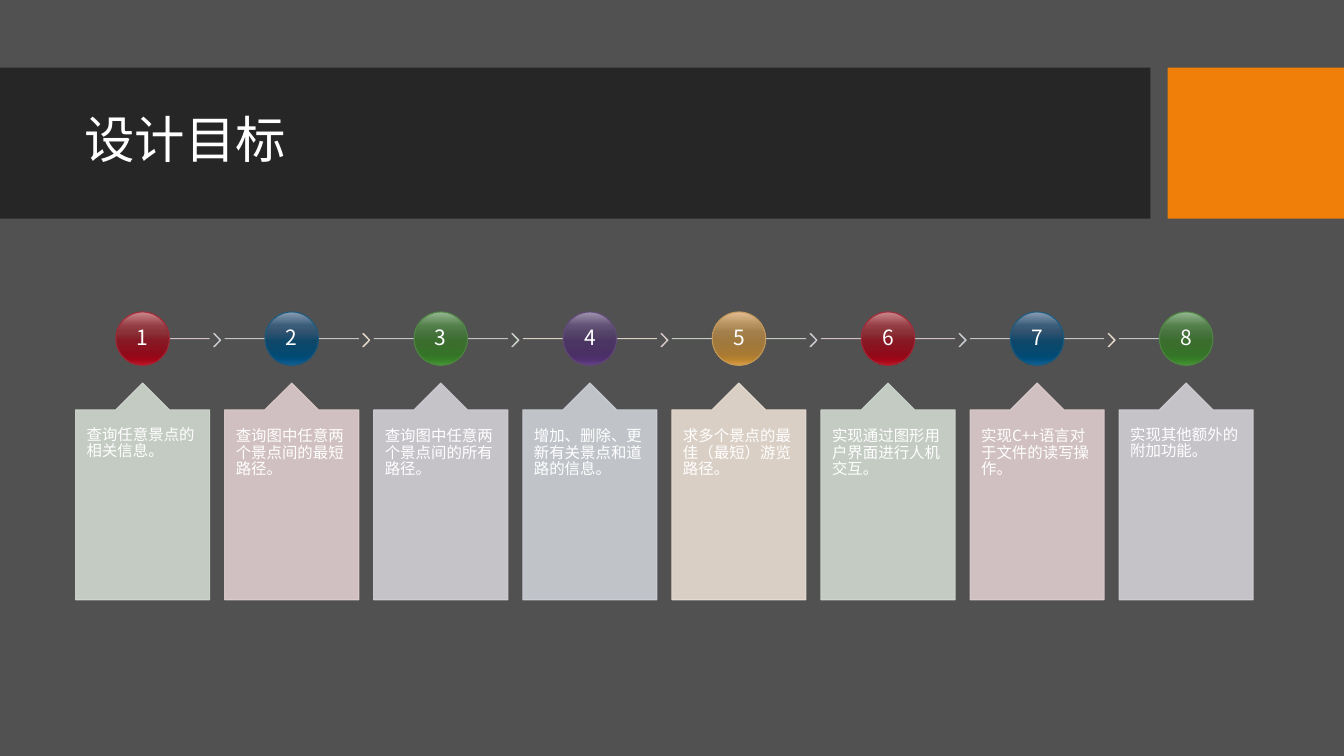
from lxml import etree
from pptx import Presentation, util as u
from pptx.dml.color import RGBColor
from pptx.enum import shapes, text
from pptx.oxml.ns import qn

FONT = "Noto Sans CJK SC"
WHITE = RGBColor(0xFF, 0xFF, 0xFF)
BACKGROUND = RGBColor(0x51, 0x51, 0x51)
BAND = RGBColor(0x26, 0x26, 0x26)
ORANGE = RGBColor(0xF0, 0x7F, 0x09)

# Card tints: green, pink, mauve, blue, sand
TINTS = [RGBColor.from_string(c) for c in
         ("D0D9CF", "DFCDCE", "D2CFD6", "CDD1D7", "E9DDD1")]
# Ball outline and gradient colours: red, blue, green, purple, gold
STOPS = (0, 25, 38, 55, 80, 88, 100)
BALLS = [(RGBColor.from_string(edge), colors.split()) for edge, colors in (
    ("9F2936", "CA888B 973F46 8A3238 861723 900B1A 9F0516 BE1525"),
    ("1B587C", "8A9EB4 3B5D7A 30526F 0E4769 044971 004E7C 136095"),
    ("4E8542", "96B891 55814D 487440 3A6D2E 357328 357D26 479836"),
    ("604878", "A095AF 635176 56456A 4B3562 4B3066 4F2F6E 634187"),
    ("C19859", "E2BC91 B4905C A37F4B 9F793E A87A33 B7822F DD9F41"),
)]
GOALS = [
    "查询任意景点的相关信息。",
    "查询图中任意两个景点间的最短路径。",
    "查询图中任意两个景点间的所有路径。",
    "增加、删除、更新有关景点和道路的信息。",
    "求多个景点的最佳（最短）游览路径。",
    "实现通过图形用户界面进行人机交互。",
    "实现C++语言对于文件的读写操作。",
    "实现其他额外的附加功能。",
]

LEFT, LAST_LEFT, CARD_W = 0.75, 11.1, 1.33
STEP = (LAST_LEFT - LEFT) / (len(GOALS) - 1)
LINE_Y, BALL, NUMBER = 3.36, 0.53, 0.37
CARD_TOP, CARD_H, POINTER_H = 3.8, 2.15, 0.27


def set_alpha(el, percent):
    """Set the opacity of every solid colour inside an element."""
    for clr in el.iter(qn("a:srgbClr")):
        etree.SubElement(clr, qn("a:alpha"), val=str(percent * 1000))


def add_box(s, kind, box, color, adjustments=(), edge=None, opacity=None):
    """Add a preset shape with a plain fill and an optional outline."""
    sp = s.shapes.add_shape(kind, *map(u.Inches, box))
    sp.shadow.inherit = False
    for i, value in enumerate(adjustments):
        sp.adjustments[i] = value
    sp.fill.solid()
    sp.fill.fore_color.rgb = color
    if edge is None:
        sp.line.fill.background()
    else:
        sp.line.color.rgb = edge
        sp.line.width = u.Pt(0.75)
    if opacity:
        set_alpha(sp._element.spPr, opacity)
    return sp


def add_text(s, box, words, size, margins=(0.1, 0.05),
             anchor=text.MSO_ANCHOR.MIDDLE, align=text.PP_ALIGN.LEFT):
    """Add a wrapped white text box."""
    tf = s.shapes.add_textbox(*map(u.Inches, box)).text_frame
    side, end = map(u.Inches, margins)
    frame = {"word_wrap": True, "vertical_anchor": anchor,
             "margin_left": side, "margin_right": side,
             "margin_top": end, "margin_bottom": end}
    for name, value in frame.items():
        setattr(tf, name, value)
    p = tf.paragraphs[0]
    p.alignment, p.line_spacing = align, 0.9
    r = p.add_run()
    r.text = words
    for name, value in {"size": u.Pt(size), "name": FONT}.items():
        setattr(r.font, name, value)
    r.font.color.rgb = WHITE
    etree.SubElement(r._r.get_or_add_rPr(), qn("a:ea"), typeface=FONT)


def add_track(s, x1, x2, color):
    """Add one horizontal piece of the timeline."""
    y = u.Inches(LINE_Y)
    line = s.shapes.add_connector(shapes.MSO_CONNECTOR.STRAIGHT,
                                  u.Inches(x1), y, u.Inches(x2), y)
    line.line.color.rgb = color
    line.line.width = u.Pt(0.75)
    set_alpha(line._element.spPr, 90)
    etree.SubElement(line._element.spPr, qn("a:effectLst"))


def add_ball(s, center, number, edge, colors):
    """Add a glossy numbered ball on the timeline."""
    sp = add_box(s, shapes.MSO_SHAPE.OVAL,
                 (center - BALL / 2, LINE_Y - BALL / 2, BALL, BALL), edge, edge=edge)
    sp.fill.gradient()
    sp.fill.gradient_angle = 270
    stops = sp._element.spPr.find(qn("a:gradFill")).find(qn("a:gsLst"))
    stops.clear()
    for pos, color in zip(STOPS, colors):
        gs = etree.SubElement(stops, qn("a:gs"), pos=str(pos * 1000))
        etree.SubElement(gs, qn("a:srgbClr"), val=color)
    add_text(s, (center - NUMBER / 2, LINE_Y - NUMBER / 2, NUMBER, NUMBER),
             str(number), 15, (0.02, 0.02), align=text.PP_ALIGN.CENTER)


def add_card(s, x, goal, color):
    """Add a callout card that points up at its ball."""
    add_box(s, shapes.MSO_SHAPE.UP_ARROW_CALLOUT, (x, CARD_TOP, CARD_W, CARD_H),
            color, (0.5, 0.2, 0.2, 1), color, 90)
    add_text(s, (x, CARD_TOP + POINTER_H, CARD_W, CARD_H - POINTER_H),
             goal, 11, (0.11, 0.18), text.MSO_ANCHOR.TOP)


def add_goal(s, i, goal):
    """Add one timeline step: track, chevron, ball and card."""
    x = LEFT + i * STEP
    center = x + CARD_W / 2
    first, last = i == 0, i == len(GOALS) - 1

    def tint(shift):
        return TINTS[(i + shift) % len(TINTS)]

    add_track(s, center + 0.07 if first else x, center if last else x + CARD_W, tint(1))
    if not last:
        add_box(s, shapes.MSO_SHAPE.CHEVRON, (x + 1.37, 3.31, 0.07, 0.13),
                tint(3), (0.9,), tint(3), 90)
    add_ball(s, center, i + 1, *BALLS[i % len(BALLS)])
    add_card(s, x, goal, tint(0))


def main():
    """Build the slide and save it."""
    prs = Presentation()
    prs.slide_width, prs.slide_height = u.Inches(13.33), u.Inches(7.5)
    s = prs.slides.add_slide(prs.slide_layouts[6])
    s.background.fill.solid()
    s.background.fill.fore_color.rgb = BACKGROUND
    add_box(s, shapes.MSO_SHAPE.RECTANGLE, (0, 0.67, 11.41, 1.5), BAND)
    add_box(s, shapes.MSO_SHAPE.RECTANGLE, (11.58, 0.67, 1.75, 1.5), ORANGE)
    add_text(s, (0.74, 0.82, 10.51, 1.18), "设计目标", 36)
    for i, goal in enumerate(GOALS):
        add_goal(s, i, goal)
    prs.save("out.pptx")


main()
